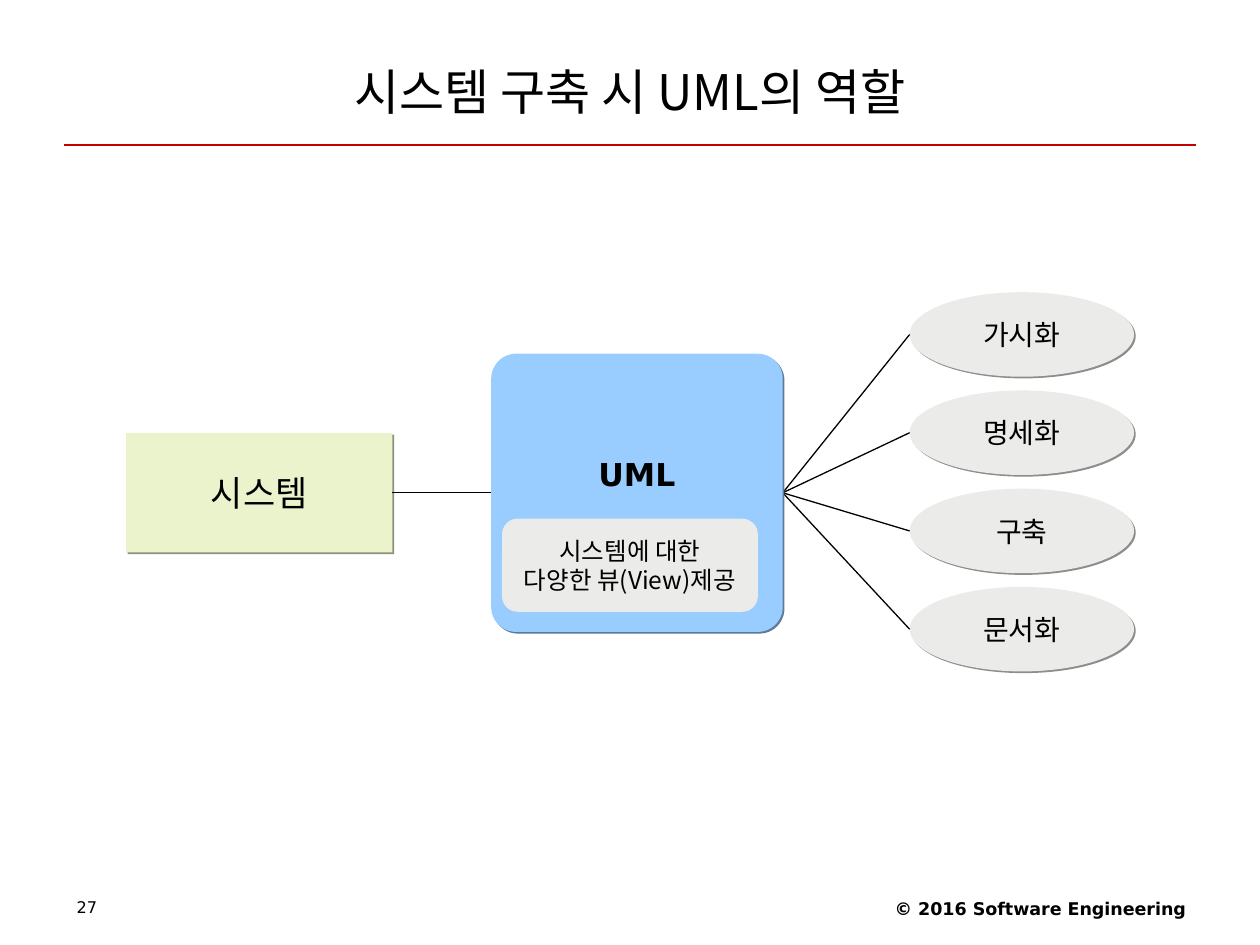
from lxml.etree import SubElement
from pptx import Presentation
from pptx.dml.color import RGBColor
from pptx.enum.shapes import MSO_CONNECTOR as Connector, MSO_SHAPE as Shape
from pptx.enum.text import MSO_ANCHOR as Anchor, PP_ALIGN as Align
from pptx.oxml.ns import qn
from pptx.util import Pt

KOREAN = "Noto Sans CJK KR"
LATIN = "DejaVu Sans"
SERIF = "Times New Roman"
BLACK = "000000"
GREY = "EBEBE9"


def color(value):
    return RGBColor.from_string(value)


def write(shape, text, size, font, align=Align.CENTER, anchor=Anchor.MIDDLE,
          bold=False, spacing=None, wrap=True):
    frame = shape.text_frame
    frame.word_wrap = wrap
    frame.vertical_anchor = anchor
    frame.text = text
    for para in frame.paragraphs:
        para.alignment = align
        para.line_spacing = spacing
        para.font.size = Pt(size)
        para.font.name = font
        para.font.bold = bold
        para.font.color.rgb = color(BLACK)
        for span in para.runs:
            SubElement(span.font._element, qn("a:ea"), typeface=KOREAN)


def add_text(page, box, text, size, font, **style):
    shape = page.shapes.add_textbox(*map(Pt, box))
    write(shape, text, size, font, **style)


def add_node(page, kind, box, fill, text, size, font, shadow=None, bold=False):
    shape = page.shapes.add_shape(kind, *map(Pt, box))
    shape.shadow.inherit = False
    shape.fill.solid()
    shape.fill.fore_color.rgb = color(fill)
    shape.line.fill.background()
    if shadow:
        effects = shape._element.spPr.find(qn("a:effectLst"))
        outer = SubElement(effects, qn("a:outerShdw"), blurRad="0",
                           dist=str(Pt(1.4)), dir="2700000", algn="ctr", rotWithShape="0")
        SubElement(outer, qn("a:srgbClr"), val=shadow)
    write(shape, text, size, font, bold=bold, wrap=False)
    return shape


def add_line(page, start, end, stroke=BLACK):
    line = page.shapes.add_connector(Connector.STRAIGHT, *map(Pt, start + end))
    line.line.color.rgb = color(stroke)
    line.line.width = Pt(0.75)
    SubElement(line._element.spPr, qn("a:effectLst"))


def add_header(page, box):
    left, top, width, height = box
    add_text(page, box, "시스템 구축 시 UML의 역할", 28, KOREAN)
    add_line(page, (left + 0.7, top + height), (left + width - 0.7, top + height), "C40000")


def add_footer(page, box):
    left, top, width, height = box
    add_text(page, (left, top + 0.7, 168, height), "27", 9.2, LATIN,
             align=Align.LEFT, anchor=Anchor.TOP, spacing=0.9)
    add_text(page, (left + width - 228, top, 228, height), "© 2016 Software Engineering",
             10, LATIN, align=Align.RIGHT, anchor=Anchor.TOP, bold=True)


def add_system(page, box):
    add_node(page, Shape.RECTANGLE, box, "EBF3CD", "시스템", 20, SERIF, "8D927B")


def add_uml(page, box):
    left, top, width, height = box
    panel = add_node(page, Shape.ROUNDED_RECTANGLE, box, "99CCFF", "UML", 18, LATIN,
                     "5C7A99", bold=True)
    panel.adjustments[0] = 0.09
    panel.text_frame.margin_bottom = Pt(24.6)
    add_node(page, Shape.ROUNDED_RECTANGLE, (left + 6.2, top + 94.3, 146.2, 53.2), GREY,
             "시스템에 대한\n다양한 뷰(View)제공", 14, KOREAN)


def add_roles(page, box, hub):
    left, top, width, height = box
    roles = ["가시화", "명세화", "구축", "문서화"]
    oval_height = 48.3
    pitch = (height - oval_height) / (len(roles) - 1)
    for index, role in enumerate(roles):
        oval_top = top + index * pitch
        add_node(page, Shape.OVAL, (left, oval_top, width, oval_height), GREY,
                 role, 16, SERIF, "8D8D8C")
        add_line(page, hub, (left, oval_top + oval_height / 2))


def main():
    deck = Presentation()
    deck.slide_width, deck.slide_height = Pt(720), Pt(540)
    page = deck.slides.add_slide(deck.slide_layouts[6])
    middle = 281.6
    system = (72, 247.5, 152.3, 68.2)
    uml = (280.7, 202.1, 166.6, 159)
    add_header(page, (36, 21.6, 648, 61.2))
    add_footer(page, (36.7, 509.8, 648, 20.5))
    add_system(page, system)
    add_roles(page, (519.8, 167, 128.2, 216.7), (uml[0] + uml[2], middle))
    add_uml(page, uml)
    add_line(page, (system[0] + system[2], middle), (uml[0], middle))
    deck.save("out.pptx")


if __name__ == "__main__":
    main()
